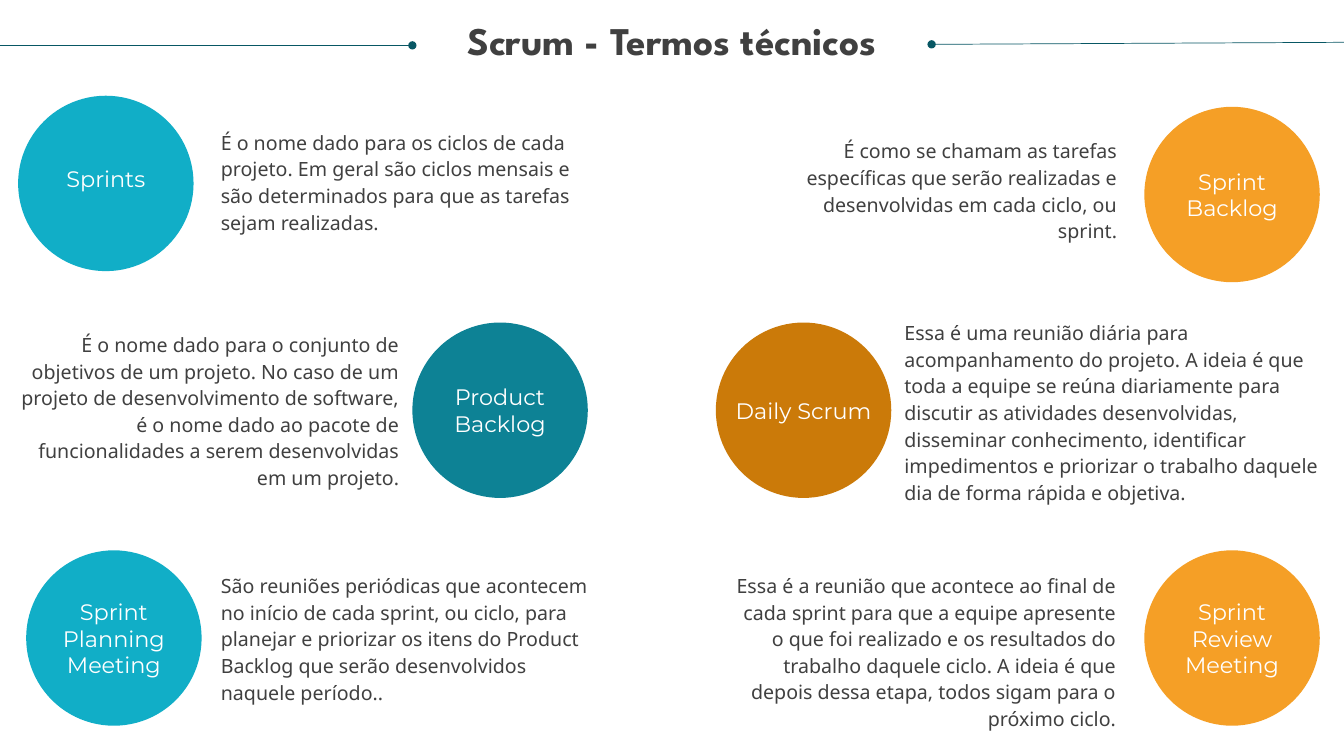
from dataclasses import dataclass

from lxml.etree import SubElement
from pptx import Presentation
from pptx.dml.color import RGBColor
from pptx.enum.shapes import MSO_CONNECTOR, MSO_SHAPE
from pptx.enum.text import MSO_ANCHOR, PP_ALIGN
from pptx.oxml.ns import qn
from pptx.util import Inches, Pt


@dataclass(frozen=True)
class Theme:
    """Colours, fonts and type sizes of the slide."""
    ink: str = "404040"
    white: str = "FFFFFF"
    rule: str = "085764"
    cyan: str = "11AEC7"
    teal: str = "0D8295"
    brown: str = "CB7A09"
    orange: str = "F59F26"
    title_font: str = "League Spartan"
    label_font: str = "Montserrat"
    body_font: str = "Noto Sans"
    title_size: int = 28
    label_size: int = 16
    body_size: int = 14
    body_spacing: int = 19


@dataclass(frozen=True)
class Term:
    """A named circle and the description beside it."""
    name: str
    color: str
    circle: tuple
    description: str
    area: tuple
    align: PP_ALIGN = PP_ALIGN.LEFT
    label_lines: int = 1
    label_lift: float = 0


THEME = Theme()
DIAMETER = 1.74
LABEL_WIDTH = 1.5
LABEL_LINE = 0.27

TERMS = [
    Term("Sprints", THEME.cyan, (0.18, 0.95),
         "É o nome dado para os ciclos de cada projeto. Em geral são ciclos "
         "mensais e são determinados para que as tarefas sejam realizadas.",
         (2.19, 1.26, 3.8, 1.07), label_lift=0.05),
    Term("Sprint Planning Meeting", THEME.cyan, (0.26, 5.46),
         "São reuniões periódicas que acontecem no início de cada sprint, ou "
         "ciclo, para planejar e priorizar os itens do Product Backlog que "
         "serão desenvolvidos naquele período..",
         (2.19, 5.79, 3.8, 1.07), label_lines=3),
    Term("Product Backlog", THEME.teal, (4.09, 3.2),
         "É o nome dado para o conjunto de objetivos de um projeto. No caso de "
         "um projeto de desenvolvimento de software, é o nome dado ao pacote "
         "de funcionalidades a serem desenvolvidas em um projeto.",
         (0.18, 3.4, 3.78, 1.33), PP_ALIGN.RIGHT, 2),
    Term("Daily Scrum", THEME.brown, (7.1, 3.2),
         "Essa é uma reunião diária para acompanhamento do projeto. A ideia é "
         "que toda a equipe se reúna diariamente para discutir as atividades "
         "desenvolvidas, disseminar conhecimento, identificar impedimentos e "
         "priorizar o trabalho daquele dia de forma rápida e objetiva.",
         (8.97, 3.28, 4.11, 1.6)),
    Term("Sprint Backlog", THEME.orange, (11.35, 1.06),
         "É como se chamam as tarefas específicas que serão realizadas e "
         "desenvolvidas em cada ciclo, ou sprint.",
         (7.74, 1.48, 3.34, 0.8), PP_ALIGN.RIGHT, 2),
    Term("Sprint Review Meeting", THEME.orange, (11.35, 5.46),
         "Essa é a reunião que acontece ao final de cada sprint para que a "
         "equipe apresente o que foi realizado e os resultados do trabalho "
         "daquele ciclo. A ideia é que depois dessa etapa, todos sigam para o "
         "próximo ciclo.",
         (7.24, 5.79, 3.83, 1.33), PP_ALIGN.RIGHT, 3),
]


def add_text(page, text, area, font, size, color, align,
             anchor=MSO_ANCHOR.MIDDLE, spacing=None, bold=False):
    """Add a wrapped text box without margins."""
    box = page.shapes.add_textbox(*map(Inches, area))
    frame = box.text_frame
    frame.word_wrap = True
    frame.vertical_anchor = anchor
    frame.margin_left = frame.margin_right = 0
    frame.margin_top = frame.margin_bottom = 0
    para = frame.paragraphs[0]
    para.text = text
    para.alignment = align
    para.line_spacing = spacing
    para.font.name = font
    para.font.size = Pt(size)
    para.font.bold = bold
    para.font.color.rgb = RGBColor.from_string(color)


def add_rule(page, start, end):
    """Add a thin rule that starts with a dot."""
    rule = page.shapes.add_connector(
        MSO_CONNECTOR.STRAIGHT, *map(Inches, start + end))
    rule.line.width = Pt(0.5)
    rule.line.color.rgb = RGBColor.from_string(THEME.rule)
    SubElement(rule.line._get_or_add_ln(), qn("a:headEnd"), type="oval")
    SubElement(rule._element.spPr, qn("a:effectLst"))


def add_circle(page, term):
    """Add the coloured circle of a term."""
    circle = page.shapes.add_shape(
        MSO_SHAPE.OVAL, *map(Inches, term.circle + (DIAMETER, DIAMETER)))
    circle.shadow.inherit = False
    circle.fill.solid()
    circle.fill.fore_color.rgb = RGBColor.from_string(term.color)
    circle.line.fill.background()


def add_label(page, term):
    """Centre the name of a term on its circle."""
    left, top = term.circle
    height = term.label_lines * LABEL_LINE
    area = (left + (DIAMETER - LABEL_WIDTH) / 2,
            top + (DIAMETER - height) / 2 - term.label_lift,
            LABEL_WIDTH, height)
    add_text(page, term.name, area, THEME.label_font, THEME.label_size,
             THEME.white, PP_ALIGN.CENTER)


def add_description(page, term):
    """Add the explanation of a term."""
    add_text(page, term.description, term.area, THEME.body_font,
             THEME.body_size, THEME.ink, term.align,
             spacing=Pt(THEME.body_spacing))


def main():
    """Build the slide of Scrum terms and save it."""
    deck = Presentation()
    deck.slide_width, deck.slide_height = Inches(13.33), Inches(7.5)
    page = deck.slides.add_slide(deck.slide_layouts[6])
    add_rule(page, (9.24, 0.44), (13.33, 0.42))
    add_text(page, "Scrum - Termos técnicos", (0.25, 0.21, 12.83, 0.85),
             THEME.title_font, THEME.title_size, THEME.ink, PP_ALIGN.CENTER,
             MSO_ANCHOR.TOP, 0.9, True)
    add_rule(page, (4.09, 0.45), (0, 0.45))
    for add_part in (add_circle, add_label, add_description):
        for term in TERMS:
            add_part(page, term)
    deck.save("out.pptx")


main()
